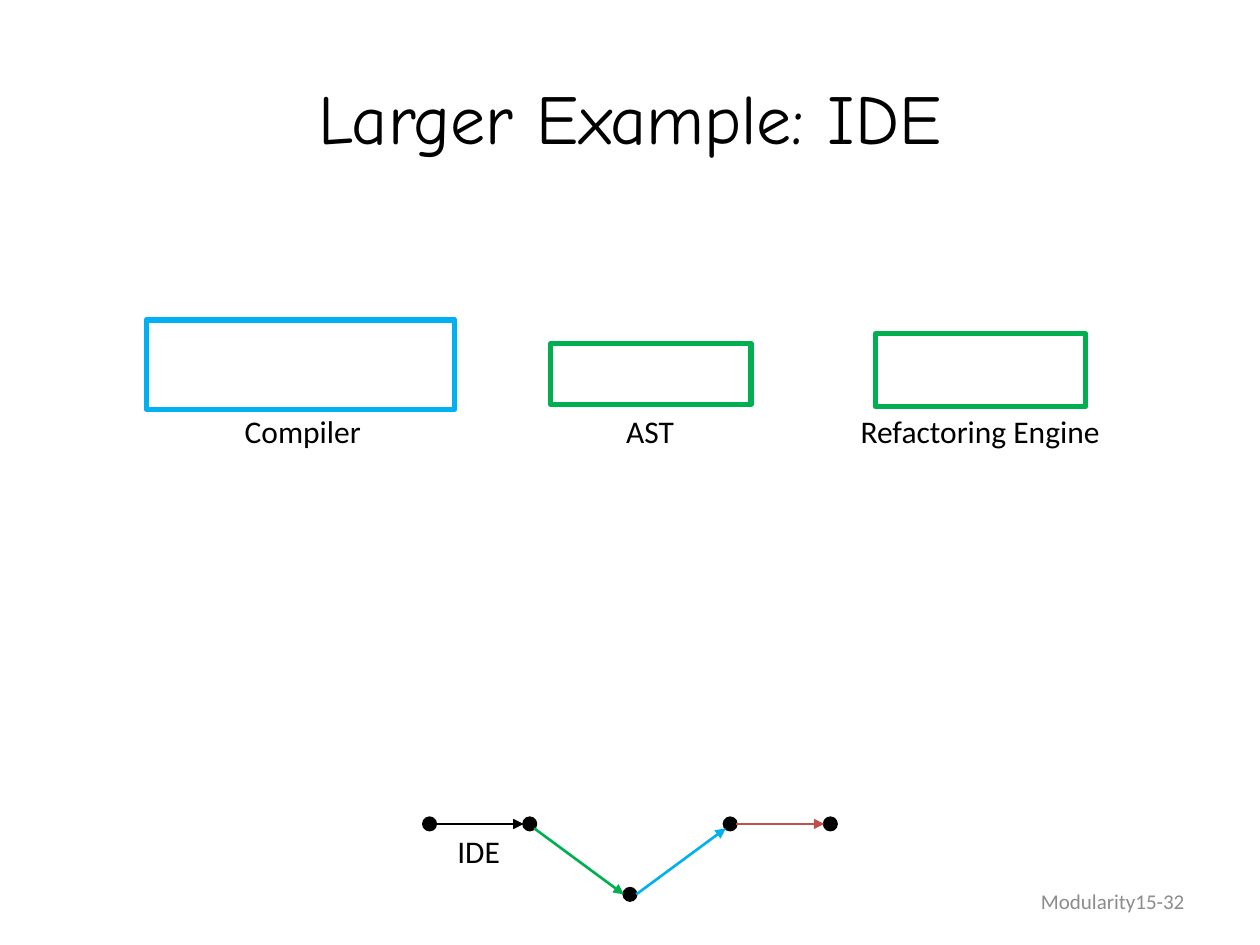
from lxml.etree import SubElement
from pptx import Presentation
from pptx.dml.color import RGBColor
from pptx.enum.shapes import MSO_CONNECTOR, MSO_SHAPE
from pptx.enum.text import MSO_ANCHOR, PP_ALIGN
from pptx.oxml.ns import qn
from pptx.util import Cm, Pt

BLACK, GREY, RED = "000000", "8C8C8C", "C0504D"
GREEN, BLUE = "00B050", "00B0F0"

DOT = 0.25  # diameter
DIAGONAL = DOT / 2 * 0.71  # offset of a dot's edge at 45 degrees
FIRST_X, STEP_X = 8.66, 2.02
HIGH_Y, LOW_Y = 16.61, 18.03
LABEL_Y, LABEL_HEIGHT = 8.18, 1.02


def color(value):
    return RGBColor.from_string(value)


def add_text(page, text, left, top, width, height, *, size=18, font="Calibri",
             ink=BLACK, align=PP_ALIGN.CENTER, anchor=MSO_ANCHOR.TOP, wrap=False):
    box = page.shapes.add_textbox(Cm(left), Cm(top), Cm(width), Cm(height))
    frame = box.text_frame
    frame.word_wrap = wrap
    frame.vertical_anchor = anchor
    para = frame.paragraphs[0]
    para.alignment = align
    span = para.add_run()
    span.text = text
    span.font.size = Pt(size)
    span.font.name = font
    span.font.color.rgb = color(ink)


def add_outlined(page, kind, left, top, width, height, line, weight, fill=None):
    shape = page.shapes.add_shape(kind, Cm(left), Cm(top), Cm(width), Cm(height))
    shape.shadow.inherit = False
    if fill:
        shape.fill.solid()
        shape.fill.fore_color.rgb = color(fill)
    else:
        shape.fill.background()
    shape.line.color.rgb = color(line)
    shape.line.width = Pt(weight)


def add_dot(page, x, y):
    add_outlined(page, MSO_SHAPE.OVAL, x - DOT / 2, y - DOT / 2, DOT, DOT,
                 BLACK, 1.5, fill=BLACK)


def add_arrow(page, start, end, ink):
    arrow = page.shapes.add_connector(
        MSO_CONNECTOR.STRAIGHT, *(Cm(value) for value in (*start, *end)))
    arrow.line.color.rgb = color(ink)
    arrow.line.width = Pt(1.5)
    SubElement(arrow.line._get_or_add_ln(), qn("a:tailEnd"), type="triangle")
    SubElement(arrow._element.spPr, qn("a:effectLst"))


def add_path(page):
    heights = [HIGH_Y, HIGH_Y, LOW_Y, HIGH_Y, HIGH_Y]
    dots = [(FIRST_X + i * STEP_X, y) for i, y in enumerate(heights)]
    for x, y in dots:
        add_dot(page, x, y)
    inks = [BLACK, GREEN, BLUE, RED]
    for (x1, y1), (x2, y2), ink in zip(dots, dots[1:], inks):
        # Sloping arrows meet the upper dots on their lower diagonal
        start = (x1 + DIAGONAL, y1 + DIAGONAL) if y2 > y1 else (x1 + DOT / 2, y1)
        end = (x2 - DIAGONAL, y2 + DIAGONAL) if y2 < y1 else (x2 - DOT / 2, y2)
        add_arrow(page, start, end, ink)


def main():
    deck = Presentation()
    deck.slide_width, deck.slide_height = Cm(25.4), Cm(19.05)
    page = deck.slides.add_slide(deck.slide_layouts[6])

    # Title
    add_text(page, "Larger Example: IDE", 1.27, 0.76, 22.86, 3.18, size=40,
             font="Comic Neue", anchor=MSO_ANCHOR.MIDDLE, wrap=True)

    # Components: label with its left and width, then the rectangle above it
    components = [
        ("Compiler", 4.67, 2.87, (2.95, 6.45, 6.22, 1.8), BLUE),
        ("AST", 12.37, 1.47, (11.1, 6.93, 4.04, 1.22), GREEN),
        ("Refactoring Engine", 17.07, 5.38, (17.65, 6.73, 4.24, 1.47), GREEN),
    ]
    for name, left, width, rectangle, ink in components:
        add_text(page, name, left, LABEL_Y, width, LABEL_HEIGHT)
        add_outlined(page, MSO_SHAPE.RECTANGLE, *rectangle, ink, 3)

    # Path of dots and arrows
    add_path(page)
    add_text(page, "IDE", 8.97, 16.64, 1.37, LABEL_HEIGHT, align=PP_ALIGN.LEFT)

    # Footer
    add_text(page, "Modularity15-32", 18.21, 17.65, 5.92, 1.02, size=12, ink=GREY,
             align=PP_ALIGN.RIGHT, anchor=MSO_ANCHOR.MIDDLE, wrap=True)

    deck.save("out.pptx")


if __name__ == "__main__":
    main()
